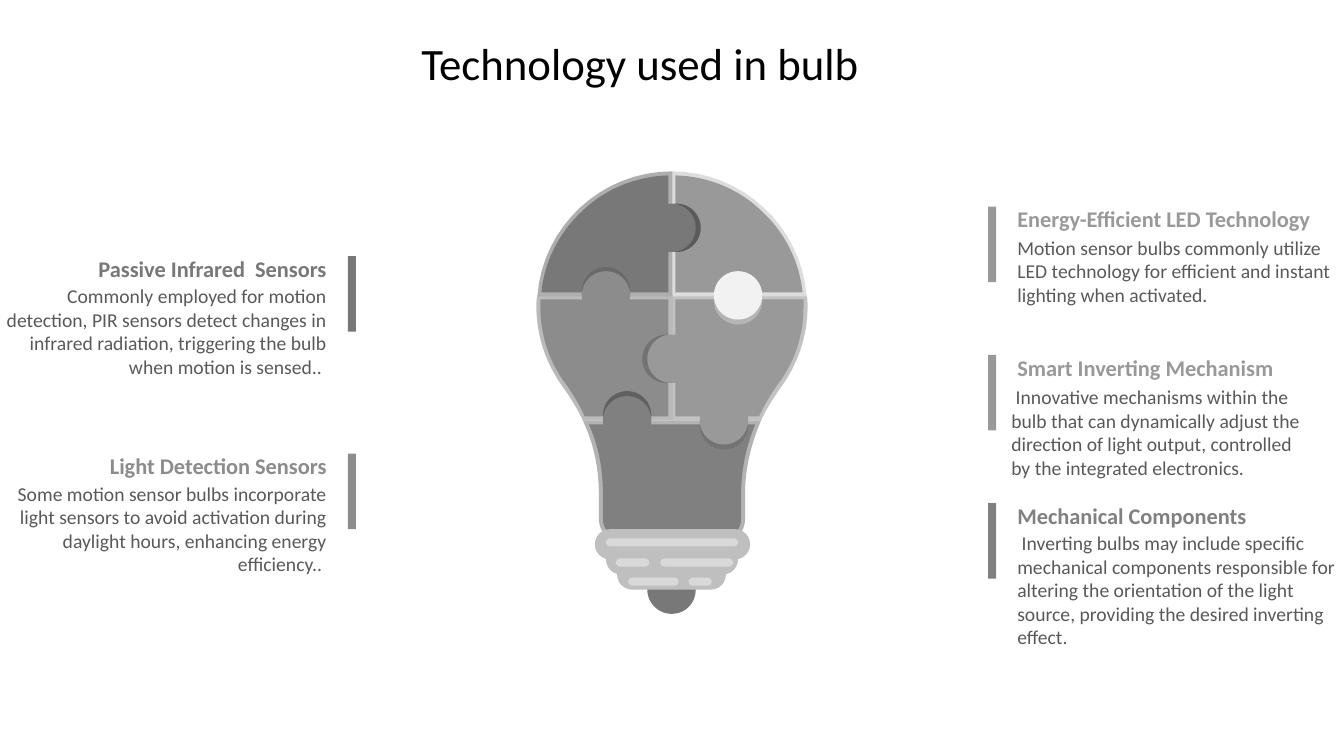
from dataclasses import dataclass

from pptx import Presentation
from pptx.dml.color import RGBColor
from pptx.enum.shapes import MSO_SHAPE
from pptx.enum.text import MSO_ANCHOR, PP_ALIGN
from pptx.util import Pt

RECT, PILL, OVAL = MSO_SHAPE.RECTANGLE, MSO_SHAPE.ROUNDED_RECTANGLE, MSO_SHAPE.OVAL
LEFT, RIGHT = PP_ALIGN.LEFT, PP_ALIGN.RIGHT
TOP = MSO_ANCHOR.TOP

PX = 9144  # EMU: 100 px to the inch
SLIDE_W, SLIDE_H = 1333, 750
CURVE_STEPS = 16
KNOB_SIZE = 48

COLORS = {
    "black": "000000", "body": "595959",
    "infrared": "787878", "light": "8C8C8C", "led": "999999", "neck": "808080",
    "infrared rim": "AEAEAE", "light rim": "BABABA", "led rim": "DDDDDD",
    "inverting rim": "C2C2C2", "neck rim": "B3B3B3",
    "thread": "BFBFBF", "shine": "D9D9D9", "white knob": "F2F2F2",
    "infrared shade": "5A5A5A", "white shade": "B5B5B5", "led shade": "737373",
    "neck shade": "606060", "light shade": "696969",
}
FONTS = {
    "title": {"name": "Calibri", "size": Pt(32), "bold": False},
    "heading": {"name": "Calibri", "size": Pt(16), "bold": True},
    "body": {"name": "Calibri", "size": Pt(14), "bold": False},
}

# An outline is a list of points (2 numbers) and cubic curves (6 numbers).
Outline = list[tuple[int, ...]]

UPPER_RIM: Outline = [(666, 294), (800, 294), (795, 225, 737, 170, 666, 170)]
UPPER_GLASS: Outline = [(670, 290), (670, 174), (702, 175, 732, 187, 755, 209),
                        (778, 230, 793, 259, 796, 290)]
LOWER_RIM: Outline = [(666, 293), (666, 417), (755, 417), (760, 406, 767, 395, 774, 385),
                      (791, 362, 801, 334, 801, 304), (801, 301, 801, 297, 800, 293)]
LOWER_GLASS: Outline = [(670, 413), (670, 297), (797, 297), (797, 300, 797, 302, 797, 304),
                        (797, 333, 788, 360, 771, 382), (764, 392, 758, 402, 753, 413)]
NECK_RIM: Outline = [(578, 417), (589, 440, 594, 465, 594, 490), (594, 515),
                     (594, 528, 605, 538, 618, 538), (716, 538),
                     (729, 538, 739, 528, 739, 515), (739, 490),
                     (739, 465, 745, 440, 755, 417)]
NECK_GLASS: Outline = [(584, 421), (594, 443, 598, 466, 598, 491), (598, 515),
                       (598, 526, 607, 534, 618, 534), (716, 534),
                       (726, 534, 735, 526, 735, 515), (735, 491),
                       (735, 466, 740, 443, 749, 421)]
CONTACT: Outline = [(642, 581), (690, 581), (690, 585), (690, 598, 680, 609, 666, 609),
                    (653, 609, 642, 598, 642, 585)]


@dataclass(frozen=True)
class Piece:
    outline: Outline
    color: str
    mirrored: bool = False


@dataclass(frozen=True)
class Band:
    left: int
    top: int
    width: int
    height: int
    color: str


@dataclass(frozen=True)
class Knob:
    left: int
    top: int
    shade_dx: int
    shade_dy: int
    color: str
    shade: str


@dataclass(frozen=True)
class Callout:
    top: int
    color: str
    heading: str
    body: str
    body_left: int
    body_width: int
    body_drop: int
    align: PP_ALIGN


PIECES = [
    Piece(LOWER_RIM, "inverting rim"), Piece(LOWER_GLASS, "led"),
    Piece(UPPER_RIM, "led rim"), Piece(UPPER_GLASS, "led"),
    Piece(NECK_RIM, "neck rim"), Piece(NECK_GLASS, "neck"),
    Piece(LOWER_RIM, "light rim", True), Piece(LOWER_GLASS, "light", True),
    Piece(UPPER_RIM, "infrared rim", True), Piece(UPPER_GLASS, "infrared", True),
]
LOWER_THREADS = [Band(612, 555, 108, 30, "thread"), Band(601, 540, 131, 30, "thread")]
TOP_THREAD = Band(590, 525, 154, 30, "thread")
SHINES = [Band(left, top, width, 8, "shine") for left, top, width in
          [(601, 534, 131), (655, 554, 72), (683, 573, 23), (623, 573, 50), (611, 554, 33)]]
KNOBS = [
    Knob(642, 202, 5, 0, "infrared", "infrared shade"),
    Knob(708, 269, 0, 5, "white knob", "white shade"),
    Knob(642, 332, -5, 0, "led", "led shade"),
    Knob(694, 393, 0, 5, "led", "led shade"),
    Knob(598, 393, 0, -5, "neck", "neck shade"),
    Knob(577, 269, 0, -4, "light", "light shade"),
]
CALLOUTS = [
    Callout(254, "infrared", "Passive Infrared  Sensors",
            "Commonly employed for motion detection, PIR sensors detect changes in infrared "
            "radiation, triggering the bulb when motion is sensed.. ", 0, 324, 28, RIGHT),
    Callout(450, "light", "Light Detection Sensors",
            "Some motion sensor bulbs incorporate light sensors to avoid activation during "
            "daylight hours, enhancing energy efficiency.. ", 0, 324, 28, RIGHT),
    Callout(205, "led", "Energy-Efficient LED Technology",
            "Motion sensor bulbs commonly utilize LED technology for efficient and instant "
            "lighting when activated.", 1009, 324, 29, LEFT),
    Callout(352, "led", "Smart Inverting Mechanism",
            " Innovative mechanisms within the bulb that can dynamically adjust the direction "
            "of light output, controlled by the integrated electronics.", 1003, 291, 30, LEFT),
    Callout(499, "neck", "Mechanical Components",
            " Inverting bulbs may include specific mechanical components responsible for "
            "altering the orientation of the light source, providing the desired inverting "
            "effect.", 1009, 324, 28, LEFT),
]


def paint(shape, color: str) -> None:
    shape.shadow.inherit = False
    shape.fill.solid()
    shape.fill.fore_color.rgb = RGBColor.from_string(COLORS[color])
    shape.line.fill.background()


def add_preset(slide, kind: MSO_SHAPE, band: Band) -> None:
    shape = slide.shapes.add_shape(
        kind, *(v * PX for v in (band.left, band.top, band.width, band.height)))
    paint(shape, band.color)
    if kind == PILL:
        shape.adjustments[0] = 0.5


def flatten(outline: Outline) -> list[tuple[float, float]]:
    """Turn the cubic curves of an outline into short straight steps."""
    points = [outline[0]]
    for segment in outline[1:]:
        if len(segment) == 2:
            points.append(segment)
            continue
        controls = [points[-1], segment[:2], segment[2:4], segment[4:]]
        for step in range(1, CURVE_STEPS + 1):
            t = step / CURVE_STEPS
            weights = ((1 - t) ** 3, 3 * t * (1 - t) ** 2, 3 * t * t * (1 - t), t ** 3)
            points.append(tuple(sum(w * c[axis] for w, c in zip(weights, controls))
                                for axis in (0, 1)))
    return points


def add_piece(slide, piece: Piece) -> None:
    points = [((SLIDE_W - x if piece.mirrored else x) * PX, y * PX)
              for x, y in flatten(piece.outline)]
    builder = slide.shapes.build_freeform(*points[0], scale=1.0)
    builder.add_line_segments(points[1:], close=True)
    paint(builder.convert_to_shape(), piece.color)


def add_knob(slide, knob: Knob) -> None:
    for dx, dy, color in [(knob.shade_dx, knob.shade_dy, knob.shade), (0, 0, knob.color)]:
        add_preset(slide, OVAL,
                   Band(knob.left + dx, knob.top + dy, KNOB_SIZE, KNOB_SIZE, color))


def add_text(slide, text: str, area: Band, style: str, align: PP_ALIGN = LEFT,
             inset_x: int = 0, inset_y: int = 0, wrap: bool = True) -> None:
    box = slide.shapes.add_textbox(
        *(v * PX for v in (area.left, area.top, area.width, area.height)))
    frame_format = {"margin_left": inset_x * PX, "margin_right": inset_x * PX,
                    "margin_top": inset_y * PX, "margin_bottom": inset_y * PX,
                    "word_wrap": wrap, "vertical_anchor": TOP}
    for attribute, value in frame_format.items():
        setattr(box.text_frame, attribute, value)
    paragraph = box.text_frame.paragraphs[0]
    paragraph.alignment = align
    run = paragraph.add_run()
    run.text = text
    for attribute, value in FONTS[style].items():
        setattr(run.font, attribute, value)
    run.font.color.rgb = RGBColor.from_string(COLORS[area.color])


def add_callout(slide, callout: Callout) -> None:
    on_left = callout.align == RIGHT
    add_preset(slide, RECT, Band(345 if on_left else 980, callout.top, 8, 75, callout.color))
    add_text(slide, callout.body,
             Band(callout.body_left, callout.top + callout.body_drop,
                  callout.body_width, 94, "body"), "body", callout.align)
    add_text(slide, callout.heading,
             Band(0 if on_left else 1009, callout.top - 1, 324, 27, callout.color),
             "heading", callout.align)


def main() -> None:
    deck = Presentation()
    deck.slide_width, deck.slide_height = SLIDE_W * PX, SLIDE_H * PX
    slide = deck.slides.add_slide(deck.slide_layouts[6])
    add_piece(slide, Piece(CONTACT, "infrared"))
    for thread in LOWER_THREADS:
        add_preset(slide, PILL, thread)
    for piece in PIECES:
        add_piece(slide, piece)
    add_preset(slide, PILL, TOP_THREAD)
    for knob in KNOBS:
        add_knob(slide, knob)
    for shine in SHINES:
        add_preset(slide, PILL, shine)
    for callout in CALLOUTS:
        add_callout(slide, callout)
    add_text(slide, "Technology used in bulb", Band(408, 30, 459, 118, "black"), "title",
             inset_x=10, inset_y=5, wrap=False)
    deck.save("out.pptx")


if __name__ == "__main__":
    main()
